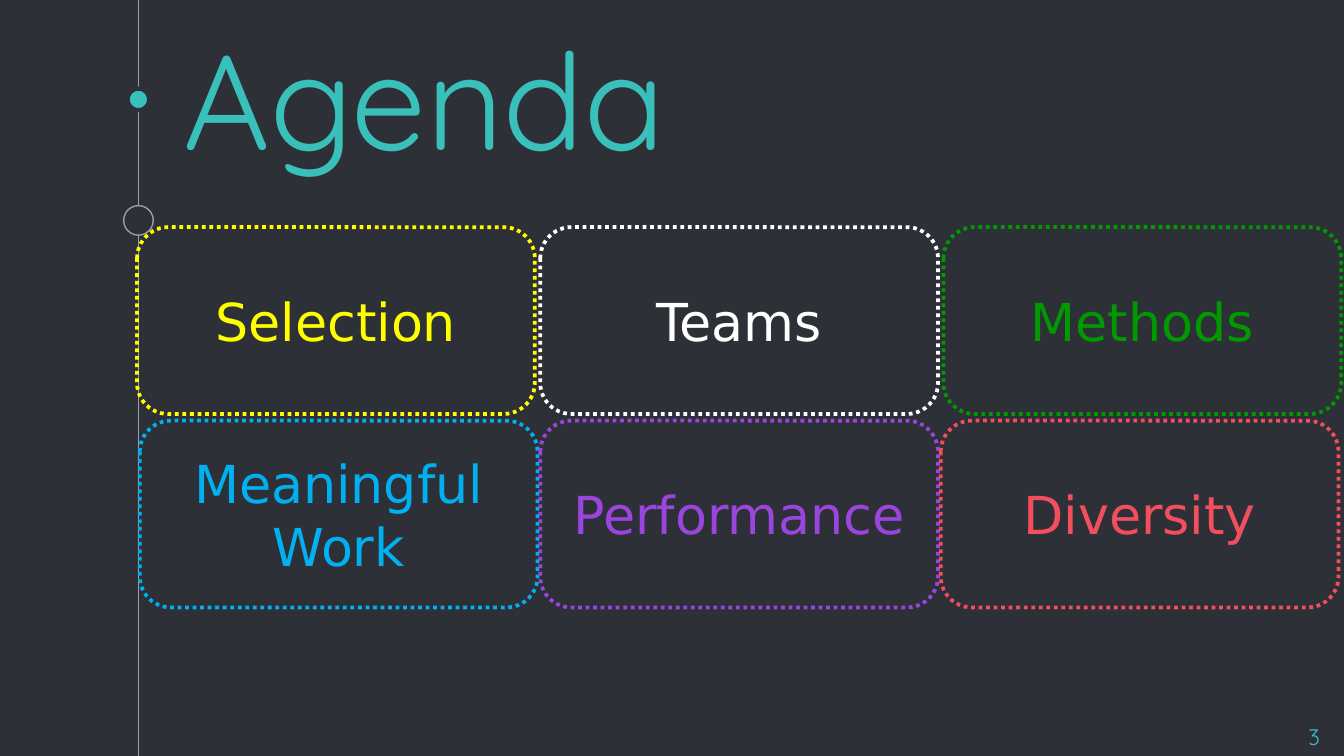
from lxml import etree
from pptx import Presentation
from pptx import util as u
from pptx.dml.color import RGBColor
from pptx.enum import dml, shapes, text
from pptx.oxml.ns import qn

WIDTH = 10
HEIGHT = WIDTH * 9 / 16
BACK, TEAL, GREY = "2E3037", "39C0BA", "999FA9"
TOP_ROW = [("Selection", "FFFF00"), ("Teams", "FFFFFF"), ("Methods", "009A00")]
BOTTOM_ROW = [("Meaningful\nWork", "00B0F0"), ("Performance", "9B45DF"), ("Diversity", "F34E5E")]


def rgb(value):
    return RGBColor.from_string(value)


def assign(obj, values):
    for name, value in values.items():
        setattr(obj, name, value)


def inches(*box):
    return [u.Inches(v) for v in box]


def write(sp, content, size, font, color, align, anchor, inset=None):
    tf = sp.text_frame
    assign(tf, {"word_wrap": True, "vertical_anchor": anchor})
    if inset is not None:
        sides = ("left", "top", "right", "bottom")
        assign(tf, {f"margin_{side}": u.Inches(inset) for side in sides})
    for i, words in enumerate(content.split("\n")):
        p = tf.add_paragraph() if i else tf.paragraphs[0]
        p.alignment = align
        r = p.add_run()
        r.text = words
        assign(r.font, {"size": u.Pt(size), "name": font})
        r.font.color.rgb = rgb(color)


def outlined(s, kind, box, line, width, fill=None):
    sp = s.shapes.add_shape(kind, *inches(*box))
    sp.shadow.inherit = False
    if fill:
        sp.fill.solid()
        sp.fill.fore_color.rgb = rgb(fill)
    else:
        sp.fill.background()
    sp.line.color.rgb = rgb(line)
    sp.line.width = u.Pt(width)
    return sp


def timeline(s, x, top, height):
    cx = s.shapes.add_connector(shapes.MSO_CONNECTOR.STRAIGHT, *inches(x, top, x, top + height))
    cx.line.color.rgb = rgb(GREY)
    cx.line.width = u.Pt(0.75)
    etree.SubElement(cx._element.spPr, qn("a:effectLst"))
    dots = [(0.74, 0.16, TEAL, BACK, 2.25), (1.64, 0.22, BACK, GREY, 0.75)]
    for y, size, fill, line, width in dots:
        box = (x - size / 2, top + y - size / 2, size, size)
        outlined(s, shapes.MSO_SHAPE.OVAL, box, line, width, fill)


def label(s, box, content, size, align, anchor):
    sp = s.shapes.add_textbox(*inches(*box))
    write(sp, content, size, "Quicksand", TEAL, align, anchor, 0.1)


def topic_row(s, left, top, pitch, topics):
    for i, (content, color) in enumerate(topics):
        box = (left + i * pitch, top, 2.96, 1.39)
        sp = outlined(s, shapes.MSO_SHAPE.ROUNDED_RECTANGLE, box, color, 2)
        sp.line.dash_style = dml.MSO_LINE.ROUND_DOT
        write(sp, content, 28, "DejaVu Sans", color, text.PP_ALIGN.CENTER, text.MSO_ANCHOR.MIDDLE)


def main():
    prs = Presentation()
    assign(prs, {"slide_width": u.Inches(WIDTH), "slide_height": u.Inches(HEIGHT)})
    s = prs.slides.add_slide(prs.slide_layouts[6])
    s.background.fill.solid()
    s.background.fill.fore_color.rgb = rgb(BACK)
    timeline(s, 1.03, 0, HEIGHT)
    label(s, (1.27, 1.04, 7.5, 0.38), "Agenda", 72, text.PP_ALIGN.LEFT, text.MSO_ANCHOR.BOTTOM)
    label(s, (9.32, 5.28, 0.6, 0.34), "3", 12, text.PP_ALIGN.RIGHT, text.MSO_ANCHOR.TOP)
    topic_row(s, 1.02, 1.69, 3, TOP_ROW)
    topic_row(s, 1.04, 3.13, 2.98, BOTTOM_ROW)
    prs.save("out.pptx")


if __name__ == "__main__":
    main()
